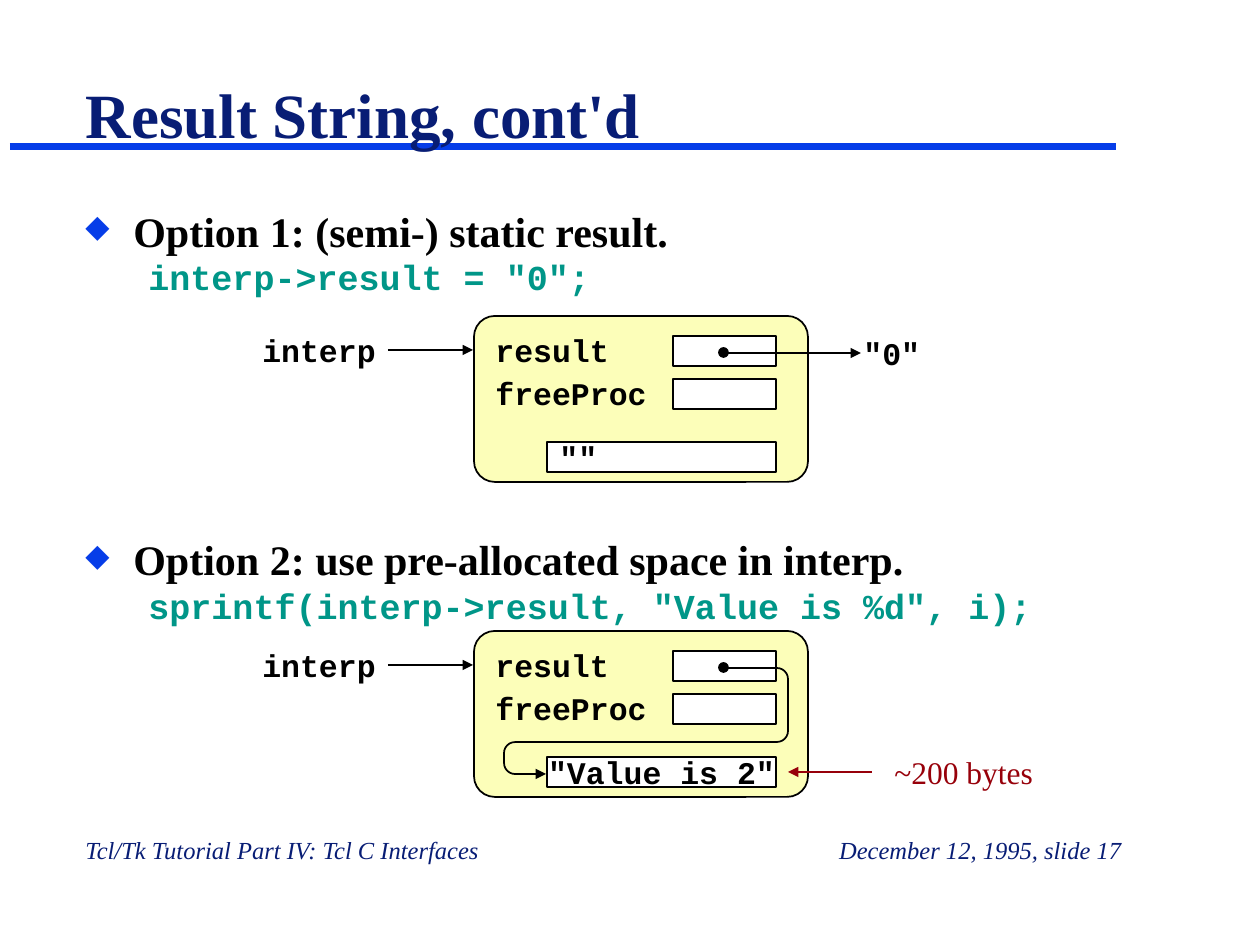
"""Build a slide on two ways of returning a result string from an interpreter."""
from lxml.etree import SubElement
from pptx import Presentation
from pptx.dml.color import RGBColor
from pptx.enum.shapes import MSO_CONNECTOR as CONN, MSO_SHAPE as SHAPE
from pptx.enum.text import MSO_ANCHOR as ANCHOR, MSO_AUTO_SIZE as FIT, PP_ALIGN as ALIGN
from pptx.oxml.ns import qn
from pptx.util import Emu, Inches, Pt

NAVY = RGBColor(0x08, 0x1D, 0x75)
BLUE = RGBColor(0x06, 0x3D, 0xE8)
TEAL = RGBColor(0x00, 0x96, 0x88)
CREAM = RGBColor(0xFC, 0xFE, 0xB9)
RED = RGBColor(0x97, 0x00, 0x0A)
BLACK = RGBColor(0x00, 0x00, 0x00)
WHITE = RGBColor(0xFF, 0xFF, 0xFF)

SERIF, MONO = "Times New Roman", "Courier New"
TITLE = dict(name=SERIF, size=Pt(36), bold=True)
HEADING = dict(name=SERIF, size=Pt(24), bold=True)
CODE = dict(name=MONO, size=Pt(20), bold=True)
LABEL = dict(name=MONO, size=Pt(18), bold=True)
NOTE = dict(name=SERIF, size=Pt(18), bold=False)
FOOTER = dict(name=SERIF, size=Pt(14), italic=True)

SCALE = 914400 / 126
STEP = 315


def px(*values):
    """Turn pixel lengths into EMU."""
    return [Emu(round(v * SCALE)) for v in values]


class Sketch:
    """Draw styled elements on the current slide."""

    def __init__(self, slide, ink=BLACK, weight=1):
        self.s, self.ink, self.weight = slide, ink, weight

    def add_text(self, p, text, fmt, color=None, **para):
        r = p.add_run()
        r.text = text
        for key, value in fmt.items():
            setattr(r.font, key, value)
        r.font.color.rgb = color or self.ink
        for key, value in para.items():
            setattr(p, key, value)

    def title(self, text, box):
        sp = self.s.shapes.title
        for key, value in zip(("left", "top", "width", "height"), px(*box)):
            setattr(sp, key, value)
        tf = sp.text_frame
        tf.auto_size, tf.vertical_anchor = FIT.NONE, ANCHOR.BOTTOM
        self.add_text(tf.paragraphs[0], text, TITLE, NAVY, alignment=ALIGN.LEFT)
        return sp

    def frame(self, box, fit=FIT.NONE):
        tf = self.s.shapes.add_textbox(*px(*box)).text_frame
        tf.word_wrap, tf.auto_size = True, fit
        return tf

    def label(self, text, box, fmt=LABEL, color=None, before=11.2, align=ALIGN.LEFT):
        tf = self.frame(box, FIT.SHAPE_TO_FIT_TEXT)
        self.add_text(tf.paragraphs[0], text, fmt, color,
                      space_before=Pt(before), alignment=align)

    def options(self, items, box):
        tf = self.frame(box)
        for i, (heading, code, before) in enumerate(items):
            p = tf.add_paragraph() if i else tf.paragraphs[0]
            self.add_text(p, heading, HEADING, space_before=Pt(before))
            self.indent(p, 0.38, -0.38, "◆")
            p = tf.add_paragraph()
            self.add_text(p, code, CODE, TEAL, level=1)
            self.indent(p, 0.81, -0.31)

    def indent(self, p, left, first, bullet=None):
        pr = p._p.get_or_add_pPr()
        pr.set("marL", str(Inches(left)))
        pr.set("indent", str(Inches(first)))
        if bullet:
            color = SubElement(pr, qn("a:buClr"))
            SubElement(color, qn("a:srgbClr"), val=str(BLUE))
            SubElement(pr, qn("a:buSzPct"), val="75000")
            SubElement(pr, qn("a:buChar"), char=bullet)

    def shape(self, kind, box, fill=None):
        sp = self.s.shapes.add_shape(kind, *px(*box))
        sp.shadow.inherit = False
        if fill is None:
            sp.fill.background()
        else:
            sp.fill.solid()
            sp.fill.fore_color.rgb = fill
        sp.line.color.rgb, sp.line.width = self.ink, Pt(self.weight)
        return sp

    def cell(self, box, text="", align=ALIGN.LEFT):
        sp = self.shape(SHAPE.RECTANGLE, box, WHITE)
        if text:
            tf = sp.text_frame
            tf.word_wrap, tf.vertical_anchor = False, ANCHOR.MIDDLE
            self.add_text(tf.paragraphs[0], text, LABEL, alignment=align)

    def line(self, x1, y1, x2, y2, color=None, weight=None, arrow=False):
        c = self.s.shapes.add_connector(CONN.STRAIGHT, *px(x1, y1, x2, y2))
        c.line.color.rgb = color or self.ink
        c.line.width = Pt(weight or self.weight)
        if arrow:
            SubElement(c.line._get_or_add_ln(), qn("a:tailEnd"), type="triangle")
        SubElement(c.element.spPr, qn("a:effectLst"))
        return c

    def interp(self, top, value, align):
        panel = self.shape(SHAPE.ROUNDED_RECTANGLE, (474, top, 334, 166), CREAM)
        panel.adjustments[0] = 0.125
        for i, field in enumerate(("result", "freeProc")):
            y = top + 20 + 43 * i
            self.cell((673, y, 103, 30))
            self.label(field, (483, y - 11, 190, 50))
        self.cell((547, top + 126, 229, 30), value, align)
        self.shape(SHAPE.OVAL, (719, top + 32, 9, 9), BLACK)
        self.label("interp", (219, top + 9, 169, 50), align=ALIGN.RIGHT)
        self.line(388, top + 34, 473, top + 34, arrow=True)

    def loop(self, start, left, right, top, mid, bottom, end, r=11):
        corners = ((right - 2 * r, top, 0), (right - 2 * r, mid - 2 * r, 90),
                   (left, mid, 270), (left, bottom - 2 * r, 180))
        for x, y, turn in corners:
            self.shape(SHAPE.ARC, (x, y, 2 * r, 2 * r)).rotation = turn
        self.line(start, top, right - r, top)
        self.line(right, top + r, right, mid - r)
        self.line(right - r, mid, left + r, mid)
        self.line(left, mid + r, left, bottom - r)
        self.line(left + r, bottom, end, bottom, arrow=True)


def main():
    prs = Presentation()
    prs.slide_width, prs.slide_height = Inches(10), Inches(7.5)
    sk = Sketch(prs.slides.add_slide(prs.slide_layouts[5]))

    title = sk.title("Result String, cont'd", (73, 5, 1050, 152))
    rule = sk.line(10, 147, 1116, 147, BLUE, 4)
    title.element.addprevious(rule.element)
    sk.label("Tcl/Tk Tutorial Part IV: Tcl C Interfaces", (73, 829, 600, 42),
             FOOTER, NAVY, 8.8)
    sk.label("December 12, 1995, slide 17", (534, 829, 600, 42),
             FOOTER, NAVY, 8.8, ALIGN.RIGHT)

    sk.options((
        ("Option 1: (semi-) static result.", 'interp->result = "0";', 15),
        ("Option 2: use pre-allocated space in interp.",
         'sprintf(interp->result, "Value is %d", i);', 135),
    ), (73, 199, 977, 609))

    values = (('""', ALIGN.LEFT), ('"Value is 2"', ALIGN.CENTER))
    for i, (value, align) in enumerate(values):
        sk.interp(316 + STEP * i, value, align)

    sk.line(725, 353, 861, 353, arrow=True)
    sk.label('"0"', (851, 328, 169, 50))
    sk.loop(start=725, left=504, right=788, top=668, mid=742, bottom=774, end=546)
    sk.line(872, 772, 788, 772, RED, arrow=True)
    sk.label("~200 bytes", (882, 747, 232, 50), NOTE, RED)
    prs.save("out.pptx")


if __name__ == "__main__":
    main()
